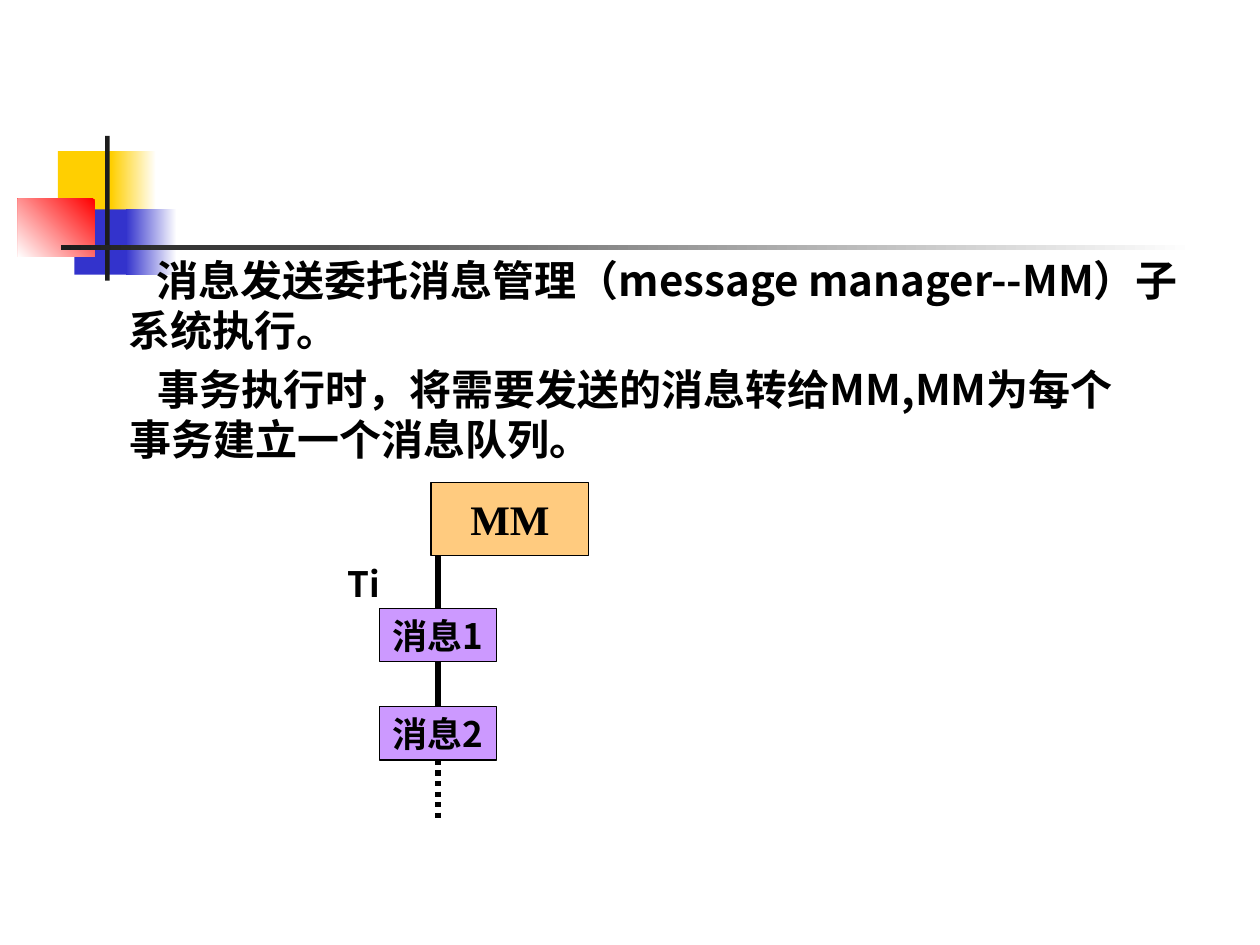
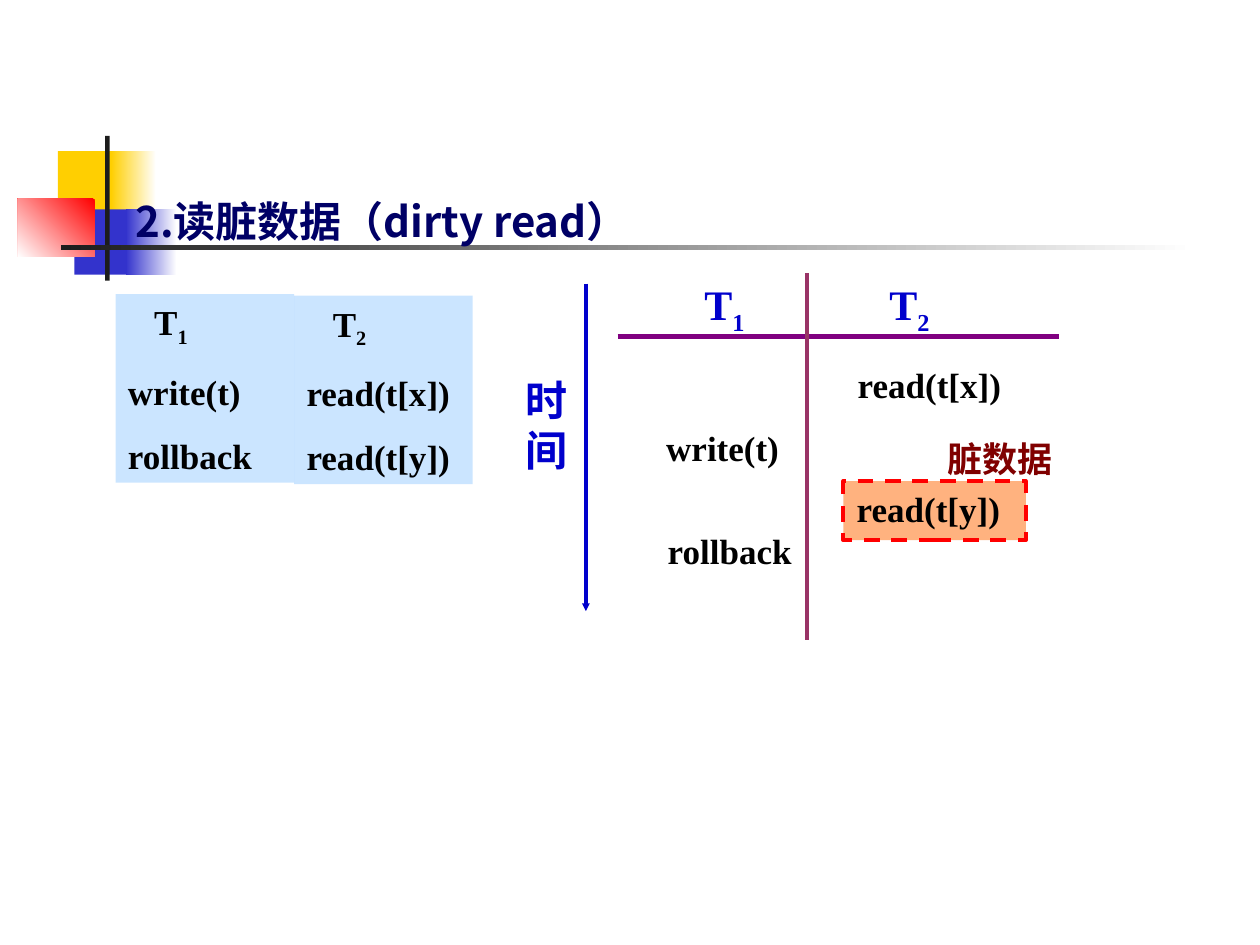
from dataclasses import dataclass

from lxml.etree import SubElement
from pptx import Presentation
from pptx.dml.color import RGBColor
from pptx.enum.dml import MSO_LINE_DASH_STYLE as Dash
from pptx.enum.shapes import MSO_CONNECTOR as Connector, MSO_SHAPE as Shape
from pptx.enum.text import MSO_ANCHOR as Anchor, PP_ALIGN as Align
from pptx.oxml.ns import qn
from pptx.util import Cm, Pt


@dataclass(frozen=True)
class Theme:
    black: str = "000000"
    white: str = "FFFFFF"
    ink: str = "1C1C1C"
    yellow: str = "FFCF01"
    blue: str = "3333CC"
    red: str = "FF0000"
    title: str = "000066"
    manager: str = "FF9900"
    message: str = "CC99FF"
    schedule: str = "99CCFF"
    timeline: str = "0000CC"
    header_rule: str = "800080"
    divider: str = "993366"
    dirty_fill: str = "FF6600"
    dirty_text: str = "800000"
    sans: str = "Noto Sans CJK SC"
    serif: str = "Times New Roman"
    time_font: str = "Cabin"
    large: int = 24
    small: int = 20
    thin: float = 0.75
    medium: float = 2.25
    thick: float = 3


THEME = Theme()
INDENT = 0.57


def apply_format(target, values):
    for name, value in values.items():
        setattr(target, name, value)


def rgb(color):
    return RGBColor.from_string(color)


def add_run(paragraph, text, font, size, color, subscript=False):
    run = paragraph.add_run()
    run.text = text
    apply_format(run.font, {"name": font, "size": Pt(size), "bold": True})
    run.font.color.rgb = rgb(color)
    properties = run._r.get_or_add_rPr()
    SubElement(properties, qn("a:ea")).set("typeface", THEME.sans)
    if subscript:
        properties.set("baseline", "-25000")


def write(shape, lines, font=THEME.sans, size=THEME.small, color=THEME.black,
          wrap=False, anchor=Anchor.TOP, align=Align.LEFT, indent=0):
    frame = shape.text_frame
    apply_format(frame, {
        "word_wrap": wrap, "vertical_anchor": anchor,
        "margin_left": Cm(0.25), "margin_right": Cm(0.25),
        "margin_top": Cm(0.13), "margin_bottom": Cm(0.13)})
    for index, line in enumerate(lines):
        paragraph = frame.add_paragraph() if index else frame.paragraphs[0]
        paragraph.alignment = align
        if index:
            paragraph.space_before = Pt(12.5)
        elif indent:
            paragraph._p.get_or_add_pPr().set("indent", str(Cm(indent)))
        base, _, subscript = line.partition("_")
        add_run(paragraph, base, font, size, color)
        if subscript:
            add_run(paragraph, subscript, font, size, color, True)


def add_text(slide, box, text, **style):
    write(slide.shapes.add_textbox(*map(Cm, box)), [text], **style)


def add_box(slide, box, color, alpha=None, outline=None, width=THEME.thin, dash=None):
    shape = slide.shapes.add_shape(Shape.RECTANGLE, *map(Cm, box))
    shape.shadow.inherit = False
    shape.fill.solid()
    shape.fill.fore_color.rgb = rgb(color)
    if alpha:
        fill_color = shape._element.spPr.find(qn("a:solidFill"))[0]
        SubElement(fill_color, qn("a:alpha")).set("val", str(alpha * 1000))
    if outline:
        shape.line.color.rgb = rgb(outline)
        apply_format(shape.line, {"width": Pt(width), "dash_style": dash})
    else:
        shape.line.fill.background()
    return shape


def add_gradient(slide, box, start, end, angle=180):
    shape = add_box(slide, box, start)
    shape.fill.gradient()
    shape.fill.gradient_angle = angle
    for stop, color in zip(shape.fill.gradient_stops, (start, end)):
        stop.color.rgb = rgb(color)


def add_line(slide, start, end, color, width, dash=None, arrow=False):
    line = slide.shapes.add_connector(Connector.STRAIGHT, *map(Cm, start + end))
    line.line.color.rgb = rgb(color)
    apply_format(line.line, {"width": Pt(width), "dash_style": dash})
    properties = line._element.spPr
    if arrow:
        head = SubElement(properties.find(qn("a:ln")), qn("a:tailEnd"))
        for name, value in {"type": "triangle", "w": "sm", "len": "sm"}.items():
            head.set(name, value)
    SubElement(properties, qn("a:effectLst"))
    return line


def add_decoration(slide):
    for left, fade_left, top, width, fade_width, color in (
            (1.17, 2.24, 3.05, 1.22, 0.91, THEME.yellow),
            (1.5, 2.54, 4.22, 1.17, 1.02, THEME.blue)):
        add_box(slide, (left, top, width, 1.32), color)
        add_gradient(slide, (fade_left, top, fade_width, 1.32), THEME.white, color)
    add_gradient(slide, (0.36, 4.01, 1.55, 1.17), THEME.red, THEME.white, 225)
    add_box(slide, (2.12, 2.74, 0.09, 2.92), THEME.ink)
    add_gradient(slide, (1.23, 4.94, 22.86, 0.1), THEME.white, THEME.ink)


def new_slide(presentation):
    slide = presentation.slides.add_slide(presentation.slide_layouts[6])
    add_decoration(slide)
    return slide


def add_message_slide(presentation):
    slide = new_slide(presentation)
    body = {"size": THEME.large, "wrap": True, "indent": INDENT}
    add_text(slide, (2.34, 5, 21.79, 2.29),
             "消息发送委托消息管理（message manager--MM）子系统执行。", **body)
    add_text(slide, (2.36, 7.19, 21.16, 2.29),
             "事务执行时，将需要发送的消息转给MM,MM为每个事务建立一个消息队列。", **body)

    centered = {"anchor": Anchor.MIDDLE, "align": Align.CENTER}
    manager = add_box(slide, (8.69, 9.73, 3.18, 1.47), THEME.manager, 50, THEME.black)
    write(manager, ["MM"], font=THEME.serif, size=THEME.large, **centered)
    add_text(slide, (6.15, 11.23, 2.36, 1.07), "Ti", **centered)

    left, top, width, height, step = 7.65, 12.27, 2.36, 1.07, 1.98
    center = left + width / 2
    link_top = 11.2
    previous = None
    for index, label in enumerate(("消息1", "消息2")):
        message_top = top + index * step
        message = add_box(slide, (left, message_top, width, height),
                          THEME.message, outline=THEME.black)
        write(message, [label], **centered)
        link = add_line(slide, (center, link_top), (center, message_top),
                        THEME.black, THEME.thick)
        if previous:
            link.begin_connect(previous, 2)
        link.end_connect(message, 0)
        previous, link_top = message, message_top + height
    queue_tail = add_line(slide, (center, link_top), (center, 16.59),
                          THEME.black, THEME.thick, Dash.ROUND_DOT)
    queue_tail.begin_connect(previous, 2)


def add_dirty_read_slide(presentation):
    slide = new_slide(presentation)
    add_box(slide, (17, 9.7, 3.68, 1.19), THEME.dirty_fill, 50,
            THEME.red, THEME.medium, Dash.DASH)
    add_text(slide, (18.85, 8.69, 2.8, 1.12), "脏数据",
             font=THEME.serif, color=THEME.dirty_text)
    add_text(slide, (1.91, 3.81, 15.42, 1.27), "2.读脏数据（dirty read）",
             size=THEME.large, color=THEME.title, wrap=True, indent=INDENT)

    for left, top, operations in (
            (2.33, 5.93, ("T_1", "write(t)", "rollback")),
            (5.93, 5.96, ("T_2", "read(t[x])", "read(t[y])"))):
        schedule = add_box(slide, (left, top, 3.6, 3.8), THEME.schedule, 50)
        write(schedule, operations, font=THEME.serif, wrap=True, indent=0.53)

    add_line(slide, (11.81, 5.72), (11.81, 12.32), THEME.timeline, THEME.medium, arrow=True)
    add_text(slide, (10.34, 7.42, 1.07, 2.29), "时间", font=THEME.time_font,
             size=THEME.large, color=THEME.timeline, wrap=True)
    add_line(slide, (12.45, 6.78), (21.34, 6.78), THEME.header_rule, THEME.thick)
    add_line(slide, (16.26, 5.51), (16.26, 12.9), THEME.divider, THEME.medium)

    for left, label in ((13.95, "T_1"), (17.68, "T_2")):
        add_text(slide, (left, 5.49, 1.4, 1.42), label, font=THEME.serif,
                 size=THEME.large, color=THEME.timeline)
    for left, top, operation in (
            (17.04, 7.19, "read(t[x])"),
            (13.18, 8.46, "write(t)"),
            (17.02, 9.7, "read(t[y])"),
            (13.21, 10.54, "rollback")):
        add_text(slide, (left, top, 3.6, 1.12), operation, font=THEME.serif)


def main():
    presentation = Presentation()
    apply_format(presentation, {"slide_width": Cm(25.4), "slide_height": Cm(19.05)})
    add_message_slide(presentation)
    add_dirty_read_slide(presentation)
    presentation.save("out.pptx")


if __name__ == "__main__":
    main()
